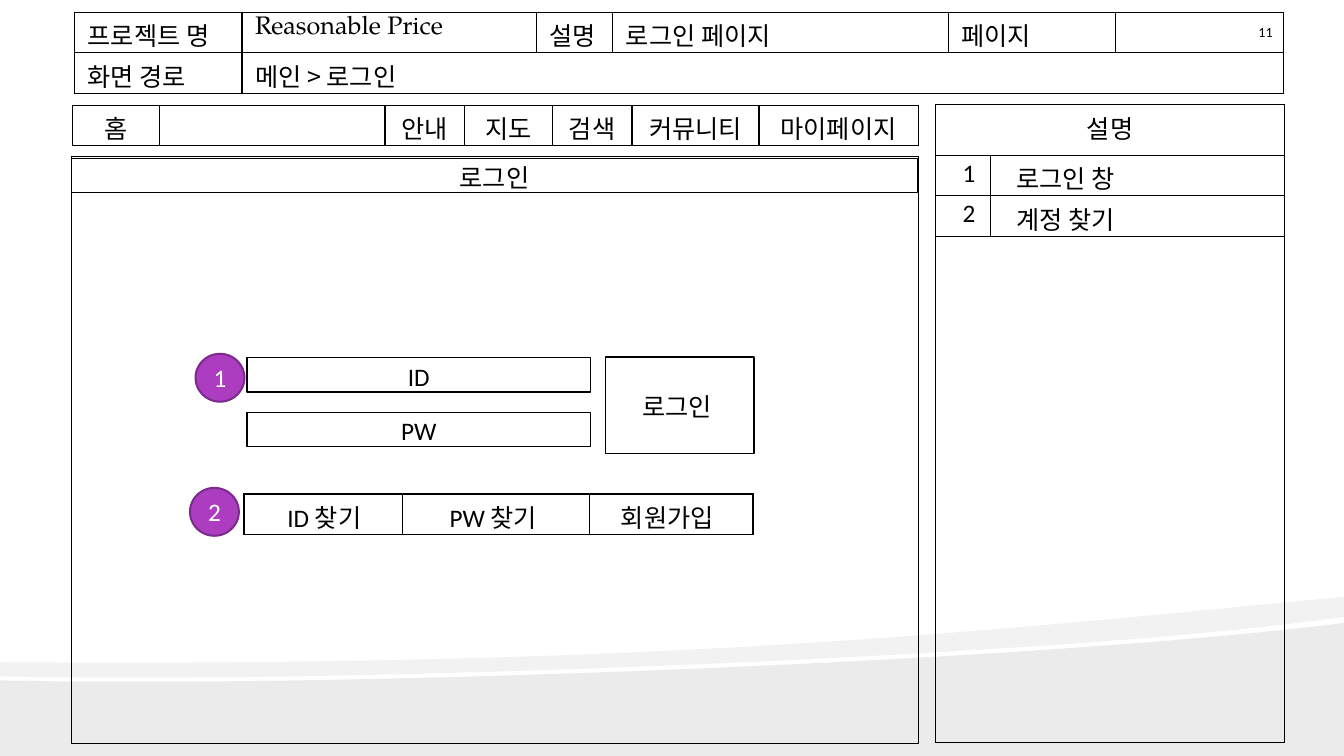
from lxml import etree
from pptx import Presentation
from pptx.dml.color import RGBColor
from pptx.enum.shapes import MSO_SHAPE as Shape
from pptx.enum.text import MSO_ANCHOR as Anchor, MSO_AUTO_SIZE as AutoSize, PP_ALIGN as Align
from pptx.oxml import parse_xml
from pptx.oxml.ns import nsdecls, qn
from pptx.util import Inches, Pt

BLACK = RGBColor(0, 0, 0)
WHITE = RGBColor(255, 255, 255)
PURPLE = RGBColor(0xAC, 0x3D, 0xC1)
DARK_PURPLE = RGBColor(0x7C, 0x2B, 0x8D)
KOREAN, LATIN, SERIF, SANS = "Noto Sans CJK KR", "Calibri", "TeX Gyre Pagella", "Arial"
COLS, ROWS = 133.33, 75  # slide grid, ten columns and ten rows to the inch


def grid(*cells):
    """Convert grid columns or rows to slide lengths."""
    return [Inches(c / 10) for c in cells]


def write(p, text, font=None, size=18, color=BLACK, align=Align.LEFT, before=2.6):
    """Fill a paragraph; a bar in the text separates runs by script."""
    p.alignment, p.space_before = align, Pt(before)
    for piece in text.split("|"):
        r = p.add_run()
        r.text = piece
        r.font.size, r.font.color.rgb = Pt(size), color
        r.font.name = font or (LATIN if piece.isascii() else KOREAN)
        ea = etree.Element(qn("a:ea"), typeface=KOREAN)
        r.font._element.find(qn("a:latin")).addnext(ea)


def set_margins(box, left=0, top=0.4, right=0):
    """Set the insets of a cell or text frame in grid units."""
    box.margin_left, box.margin_top, box.margin_right, box.margin_bottom = grid(left, top, right, 0)


def add_grid_table(slide, left, top, widths, heights):
    """Add an unfilled table with thin black borders on every cell."""
    box = grid(left, top, sum(widths), sum(heights))
    table = slide.shapes.add_table(len(heights), len(widths), *box).table
    table.first_row = table.horz_banding = False
    for column, width in zip(table.columns, grid(*widths)):
        column.width = width
    for row, height in zip(table.rows, grid(*heights)):
        row.height = height
    for cell in table.iter_cells():
        cell.fill.background()
        set_margins(cell)
        for i, side in enumerate("LRTB"):
            cell._tc.tcPr.insert(i, parse_xml(
                f'<a:ln{side} {nsdecls("a")} w="12700"><a:solidFill>'
                f'<a:srgbClr val="{BLACK}"/></a:solidFill></a:ln{side}>'))
    return table


def fill_cell(table, row, col, text, left=0, right=0, top=0.4, **style):
    """Write one table cell with its own insets."""
    cell = table.cell(row, col)
    set_margins(cell, left, top, right)
    write(cell.text_frame.paragraphs[0], text, **style)


def add_box(slide, left, top, width, height, kind=Shape.RECTANGLE,
            fill=None, line=BLACK, weight=1):
    """Add a flat outlined shape without insets."""
    sp = slide.shapes.add_shape(kind, *grid(left, top, width, height))
    sp.shadow.inherit = False
    if fill is None:
        sp.fill.background()
    else:
        sp.fill.solid()
        sp.fill.fore_color.rgb = fill
    sp.line.color.rgb, sp.line.width = line, Pt(weight)
    set_margins(sp.text_frame, top=0)
    return sp


def add_field(slide, top, text):
    """Add a login input field."""
    tf = add_box(slide, 24.5, top, 34.1, 3.4).text_frame
    set_margins(tf, top=0.3)
    tf.vertical_anchor = Anchor.TOP
    write(tf.paragraphs[0], text, align=Align.CENTER)


def add_marker(slide, left, top, text):
    """Add a numbered round marker."""
    sp = add_box(slide, left, top, 4.85, 4.75, Shape.OVAL, PURPLE, DARK_PURPLE, 1.44)
    sp.text_frame.word_wrap = False
    write(sp.text_frame.paragraphs[0], text, color=WHITE, align=Align.CENTER, before=0)


def curve(a, b, c, d, steps=24):
    """Return points along a cubic curve."""
    points = []
    for i in range(steps + 1):
        t = i / steps
        u = 1 - t
        points.append([u**3 * p + 3 * u * u * t * q + 3 * u * t * t * r + t**3 * s
                       for p, q, r, s in zip(a, b, c, d)])
    return points


def add_wave(slide, points, opacity):
    """Add a translucent black outline through grid points."""
    points = [grid(*point) for point in points]
    builder = slide.shapes.build_freeform(*points[0])
    builder.add_line_segments(points[1:])
    sp = builder.convert_to_shape()
    sp.shadow.inherit = False
    sp.line.fill.background()
    sp.fill.solid()
    sp.fill.fore_color.rgb = BLACK
    color = sp._element.spPr.find(".//" + qn("a:srgbClr"))
    etree.SubElement(color, qn("a:alpha"), val=str(opacity * 1000))


def add_waves(slide):
    """Draw the two background waves."""
    hill = curve((0, 67.5), (35.2, 68.3), (104.2, 65.5), (COLS, 61.8))
    add_wave(slide, hill + [(COLS, ROWS), (0, ROWS)], 8)
    upper = curve((0, 65.7), (65.2, 66.2), (97.1, 62.7), (COLS, 59.2))
    lower = curve((COLS, 61.2), (125.5, 62.3), (114.9, 63.3), (102.9, 64.1))
    lower += curve((102.9, 64.1), (69.8, 66.3), (25.8, 67.7), (0, 67.1))
    add_wave(slide, upper + lower, 5)


def add_header(slide):
    """Add the project header table."""
    table = add_grid_table(slide, 7.4, 1.2, [16.6, 29.2, 7.6, 33.3, 16.6, 16.6], [4.05, 4.05])
    table.cell(1, 1).merge(table.cell(1, 5))
    names = ["프로젝트 명", "Reasonable Price", "설명", "로그인 페이지", "페이지"]
    for col, text in enumerate(names):
        fill_cell(table, 0, col, text, left=1.3, font=SERIF if text.isascii() else None)
    fill_cell(table, 0, 5, "11", right=1.05, top=1.2, size=10, align=Align.RIGHT)
    for col, text in enumerate(["화면 경로", "메인 > 로그인"]):
        fill_cell(table, 1, col, text, left=1.3)


def add_description(slide):
    """Add the numbered description table."""
    table = add_grid_table(slide, 92.8, 10.4, [5.45, 29.2], [5, 4, 4, 50.2])
    for row in (0, 3):
        table.cell(row, 0).merge(table.cell(row, 1))
    fill_cell(table, 0, 0, "설명", align=Align.CENTER)
    for row, text in enumerate(["로그인 창", "계정 찾기"], 1):
        fill_cell(table, row, 0, str(row), right=1.5, top=0.3, align=Align.RIGHT)
        fill_cell(table, row, 1, text, left=2.6)


def add_navigation(slide):
    """Add the site menu."""
    table = add_grid_table(slide, 7.2, 10.45, [8.6, 22.4, 7.9, 8.7, 7.9, 12.6, 15.8], [4])
    menu = ["홈", "", "안내", "지도", "검색", "커뮤니티", "마이페이지"]
    for col, text in enumerate(menu):
        if text:
            fill_cell(table, 0, col, text, font=SANS if col < 3 else SERIF, align=Align.CENTER)


def add_title(slide):
    """Place the page title as the bar over the page frame."""
    title = slide.shapes.title
    title.left, title.top, title.width, title.height = grid(7.1, 15.7, 83.9, 3.4)
    title.line.color.rgb, title.line.width = BLACK, Pt(1)
    tf = title.text_frame
    tf.auto_size, tf.vertical_anchor = AutoSize.NONE, Anchor.TOP
    set_margins(tf)
    write(tf.paragraphs[0], "로그인", align=Align.CENTER)


def add_login(slide):
    """Add the login form, account links and markers."""
    for top, text in ((35.5, "ID"), (40.9, "PW")):
        add_field(slide, top, text)
    tf = add_box(slide, 60.1, 35.4, 14.7, 9.6).text_frame
    set_margins(tf, left=3.6, top=0.3)
    tf.vertical_anchor = Anchor.MIDDLE
    write(tf.paragraphs[0], "로그인", before=0)
    links = add_grid_table(slide, 24.2, 49, [15.7, 18.6, 16.2], [4])
    texts = ["ID |찾기", "PW |찾기", "회원가입"]
    for col, (text, left) in enumerate(zip(texts, [4.3, 4.7, 3.1])):
        fill_cell(links, 0, col, text, left=left)
    add_marker(slide, 19.4, 35.1, "1")
    add_marker(slide, 18.85, 48.4, "2")


def main():
    """Build and save the login page slide."""
    prs = Presentation()
    prs.slide_width, prs.slide_height = grid(COLS, ROWS)
    slide = prs.slides.add_slide(prs.slide_layouts[5])
    add_waves(slide)
    add_header(slide)
    add_box(slide, 7.1, 15.55, 84, 58.2)
    add_description(slide)
    add_title(slide)
    add_login(slide)
    add_navigation(slide)
    prs.save("out.pptx")


main()
